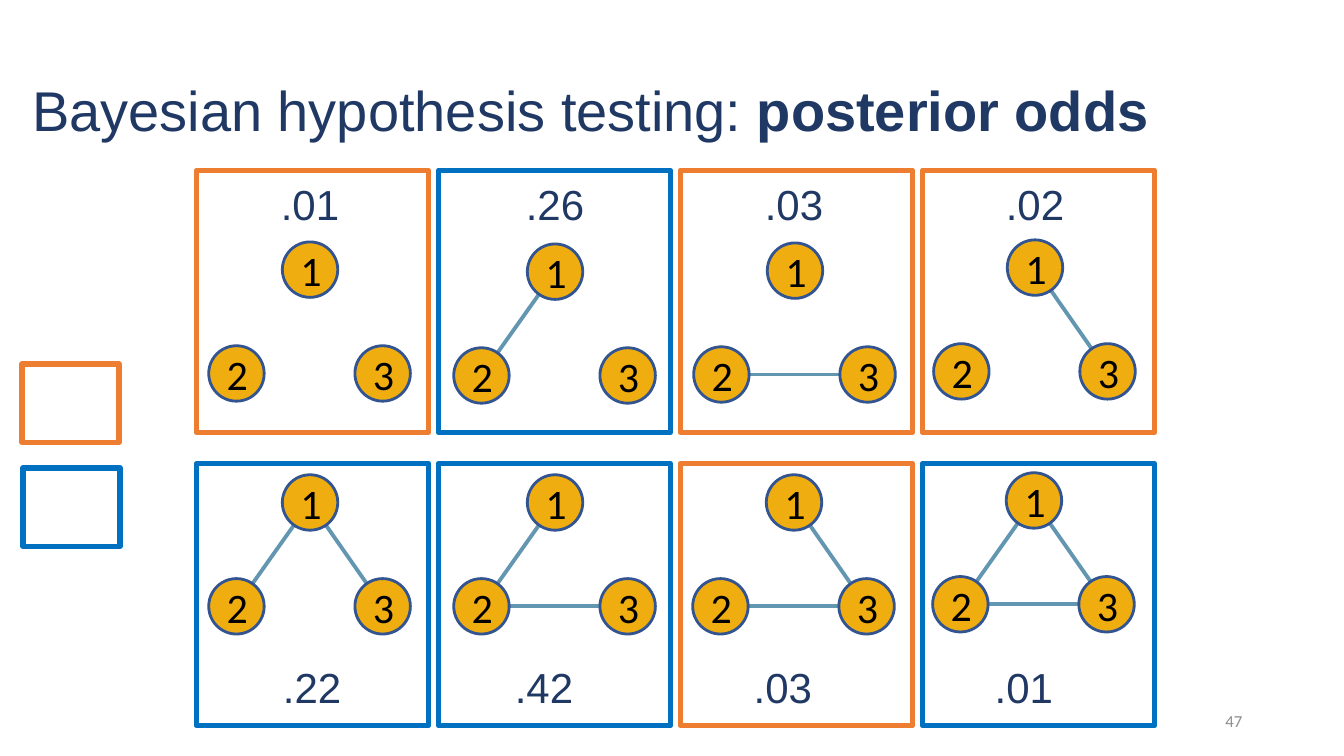
from dataclasses import dataclass
from pptx import Presentation
from pptx.dml.color import RGBColor
from pptx.enum.shapes import MSO_CONNECTOR, MSO_SHAPE
from pptx.enum.text import MSO_ANCHOR, PP_ALIGN
from pptx.oxml.xmlchemy import OxmlElement
from pptx.util import Inches, Pt

NAVY = RGBColor(0x20, 0x38, 0x64)
BLUE = RGBColor(0x00, 0x70, 0xC0)
ORANGE = RGBColor(0xED, 0x7D, 0x31)
GOLD = RGBColor(0xF0, 0xAD, 0x0F)
RIM = RGBColor(0x32, 0x54, 0x91)
STEEL = RGBColor(0x63, 0x97, 0xB1)
GRAY = RGBColor(0x8C, 0x8C, 0x8C)
BLACK = RGBColor(0x00, 0x00, 0x00)

# Grid of frames, and nodes within a graph
LEFT, TOP, COL, ROW = 1.95, 1.69, 2.4, 2.91
WIDE, HIGH = 2.3, 2.6
SIZE = 0.55
NODES = {1: (0.73, 0), 2: (0, 1.03), 3: (1.45, 1.03)}


@dataclass
class Model:
    odds: str
    odds_x: float
    x: float
    y: float
    edges: tuple[tuple[int, int], ...] = ()

    @property
    def color(self) -> RGBColor:
        """Blue marks models that hold the edge between 1 and 2."""
        return BLUE if (1, 2) in self.edges else ORANGE


MODELS = [
    [Model(".01", 2.68, 2.07, 2.4),
     Model(".26", 5.11, 4.5, 2.42, ((1, 2),)),
     Model(".03", 7.48, 6.88, 2.41, ((3, 2),)),
     Model(".02", 9.87, 9.26, 2.38, ((1, 3),))],
    [Model(".22", 2.7, 2.07, 4.71, ((1, 2), (1, 3))),
     Model(".42", 5, 4.5, 4.71, ((3, 2), (1, 2))),
     Model(".03", 7.37, 6.87, 4.71, ((3, 2), (1, 3))),
     Model(".01", 9.76, 9.25, 4.69, ((3, 2), (1, 2), (1, 3)))],
]
ODDS_Y = (1.72, 6.51)

deck = Presentation()
deck.slide_width, deck.slide_height = Inches(13.33), Inches(7.5)
slide = deck.slides.add_slide(deck.slide_layouts[6])
shapes = slide.shapes


def write(frame, *runs: str, size: float, color: RGBColor, font: str = "Arial",
          align=PP_ALIGN.CENTER, anchor=MSO_ANCHOR.MIDDLE, wrap: bool = True,
          space: float = 1.0) -> None:
    """Fill a text frame; every run after the first is bold."""
    frame.word_wrap = wrap
    frame.vertical_anchor = anchor
    para = frame.paragraphs[0]
    para.alignment = align
    para.line_spacing = space
    for place, text in enumerate(runs):
        run = para.add_run()
        run.text = text
        run.font.name, run.font.size = font, Pt(size)
        run.font.color.rgb = color
        run.font.bold = place > 0


def text_box(x: float, y: float, w: float, h: float):
    return shapes.add_textbox(*map(Inches, (x, y, w, h))).text_frame


def draw_box(x: float, y: float, w: float, h: float, color: RGBColor) -> None:
    box = shapes.add_shape(MSO_SHAPE.RECTANGLE, *map(Inches, (x, y, w, h)))
    box.shadow.inherit = False
    box.fill.background()
    box.line.color.rgb, box.line.width = color, Pt(4)


def draw_edge(group, model: Model, start: int, end: int) -> None:
    ends = [Inches(base + shift + SIZE / 2)
            for node in (start, end)
            for base, shift in zip((model.x, model.y), NODES[node])]
    edge = group.shapes.add_connector(MSO_CONNECTOR.STRAIGHT, *ends)
    edge.line.color.rgb, edge.line.width = STEEL, Pt(2.75)
    edge._element.spPr.append(OxmlElement("a:effectLst"))


def draw_node(group, model: Model, node: int) -> None:
    dx, dy = NODES[node]
    disc = group.shapes.add_shape(
        MSO_SHAPE.OVAL, Inches(model.x + dx), Inches(model.y + dy),
        Inches(SIZE), Inches(SIZE))
    disc.shadow.inherit = False
    disc.fill.solid()
    disc.fill.fore_color.rgb = GOLD
    disc.line.color.rgb, disc.line.width = RIM, Pt(2)
    write(disc.text_frame, str(node), size=30, color=BLACK, font="Calibri")


def draw_graph(model: Model) -> None:
    group = shapes.add_group_shape()
    for start, end in model.edges:
        draw_edge(group, model, start, end)
    for node in NODES:
        draw_node(group, model, node)


# Title and page number
write(text_box(0.22, 0.4, 12.2, 1.45), "Bayesian hypothesis testing: ",
      "posterior odds", size=40, color=NAVY, align=PP_ALIGN.LEFT, space=0.9)
write(text_box(9.42, 6.95, 3, 0.4), "47", size=12, color=GRAY,
      font="Calibri", align=PP_ALIGN.RIGHT)

# Colour key
draw_box(0.22, 3.61, 0.96, 0.78, ORANGE)
draw_box(0.23, 4.64, 0.96, 0.78, BLUE)

# Models with their odds
for row, line in enumerate(MODELS):
    for col, model in enumerate(line):
        draw_box(LEFT + col * COL, TOP + row * ROW, WIDE, HIGH, model.color)
        draw_graph(model)
        write(text_box(model.odds_x, ODDS_Y[row], 0.79, 0.6), model.odds,
              size=30, color=NAVY, anchor=MSO_ANCHOR.TOP, wrap=False)

deck.save("out.pptx")
